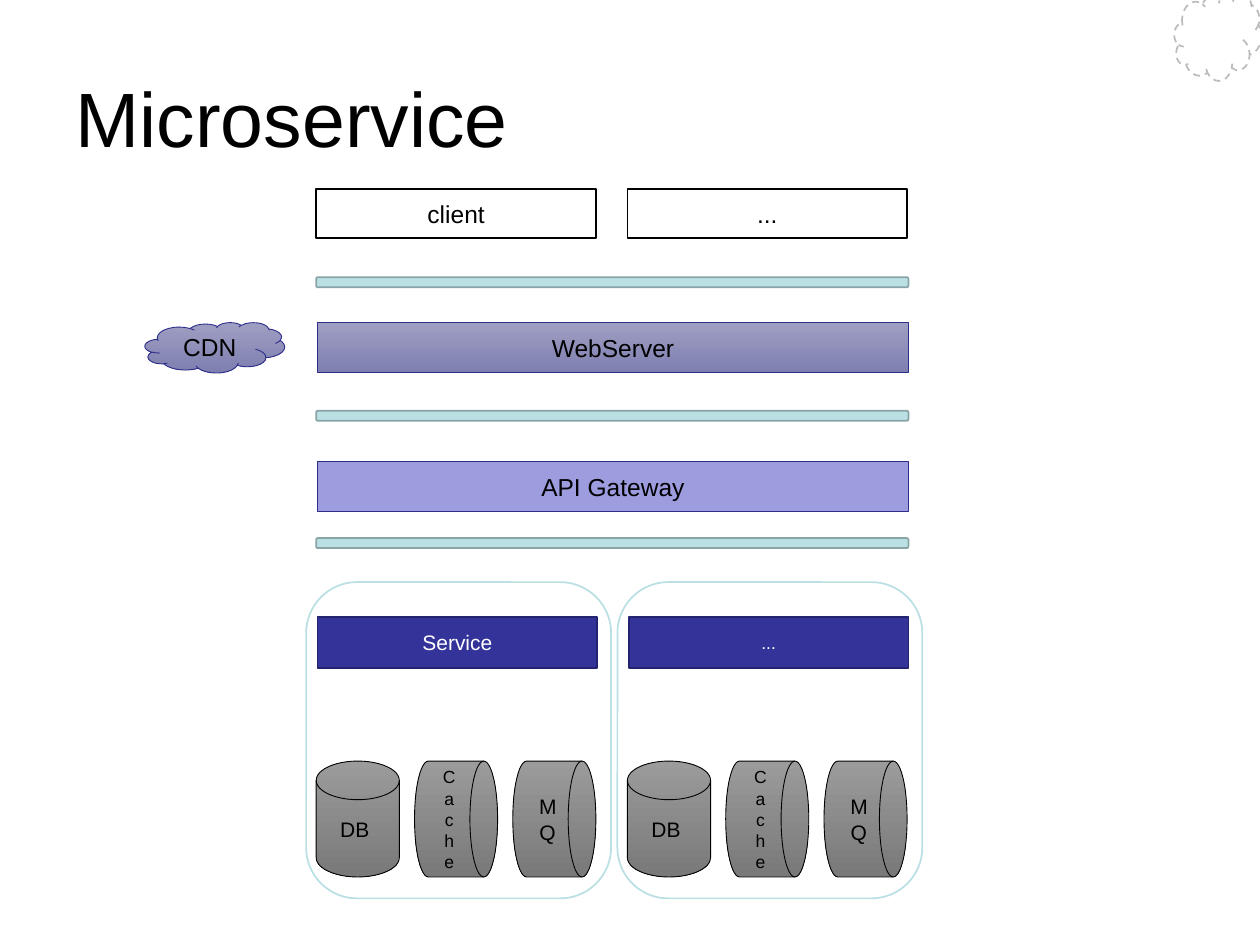
from dataclasses import dataclass

from pptx import Presentation
from pptx.dml.color import RGBColor
from pptx.enum.dml import MSO_LINE_DASH_STYLE as Dash
from pptx.enum.shapes import MSO_SHAPE as Shape
from pptx.enum.text import MSO_ANCHOR as Anchor, PP_ALIGN as Align
from pptx.util import Inches, Pt


@dataclass(frozen=True)
class Theme:
    font: str = "Arial"
    black: str = "000000"
    white: str = "FFFFFF"
    aqua: str = "BBE0E3"
    aqua_edge: str = "89A4A7"
    navy: str = "333399"
    navy_edge: str = "23236F"
    gateway: str = "9C9CDF"
    tier_edge: str = "2D2D8A"
    tier_fade: tuple = ("9F9FC3", "7E7EB0")
    store_fade: tuple = ("9B9B9B", "797979")
    cloud_edge: str = "BCBCBC"
    title: int = 44
    tier: int = 14
    service: int = 12
    small: int = 10


THEME = Theme()

# Layout grid, in inches
LEFT, FULL_W, HALF_W, BOX_H = 2.51, 4.7, 2.22, 0.4
COLUMN_STEP = 2.47
STORE_STEP = 0.78


def write(frame, text, *, size, color=THEME.black, align=Align.CENTER):
    frame.word_wrap = True
    frame.vertical_anchor = Anchor.MIDDLE
    paragraph = frame.paragraphs[0]
    paragraph.alignment = align
    run = paragraph.add_run()
    run.text = text
    run.font.name = THEME.font
    run.font.size = Pt(size)
    run.font.color.rgb = RGBColor.from_string(color)


def paint(fill, paint_color):
    """Fill with one colour, or fade from top to bottom between two."""
    if isinstance(paint_color, str):
        fill.solid()
        fill.fore_color.rgb = RGBColor.from_string(paint_color)
        return
    fill.gradient()
    fill.gradient_angle = 270
    for stop, color, position in zip(fill.gradient_stops, paint_color, (0, 1)):
        stop.color.rgb = RGBColor.from_string(color)
        stop.position = position


def add_block(slide, kind, box, *, fill, edge, weight=1, radius=None, **label):
    block = slide.shapes.add_shape(kind, *map(Inches, box))
    block.shadow.inherit = False
    paint(block.fill, fill)
    block.line.color.rgb = RGBColor.from_string(edge)
    block.line.width = Pt(weight)
    if radius is not None:
        block.adjustments[0] = radius
    if label:
        write(block.text_frame, **label)
    return block


def add_title(slide, text):
    title = slide.shapes.title
    title.left, title.top, title.width, title.height = map(Inches, (0.5, 0.3, 9, 1.25))
    write(title.text_frame, text, size=THEME.title, align=Align.LEFT)


def add_separator(slide, top):
    add_block(slide, Shape.ROUNDED_RECTANGLE, (LEFT, top, FULL_W, 0.08),
              fill=THEME.aqua, edge=THEME.aqua_edge, radius=0.167)


def add_tier(slide, kind, box, text, fill):
    add_block(slide, kind, box, fill=fill, edge=THEME.tier_edge, weight=0.5,
              text=text, size=THEME.tier)


def add_service(slide, left, name, name_size):
    # Group outline, service box, then its data stores
    add_block(slide, Shape.ROUNDED_RECTANGLE, (left - 0.08, 4.62, 2.42, 2.51),
              fill=THEME.white, edge=THEME.aqua, radius=0.167)
    add_block(slide, Shape.FLOWCHART_PROCESS, (left + 0.01, 4.9, HALF_W, BOX_H),
              fill=THEME.navy, edge=THEME.navy_edge,
              text=name, size=name_size, color=THEME.white)
    stores = (
        ("DB ", Shape.FLOWCHART_MAGNETIC_DISK, THEME.service),
        ("Cache", Shape.FLOWCHART_DIRECT_ACCESS_STORAGE, THEME.small),
        ("MQ", Shape.FLOWCHART_DIRECT_ACCESS_STORAGE, THEME.service),
    )
    for i, (store, kind, size) in enumerate(stores):
        add_block(slide, kind, (left + i * STORE_STEP, 6.04, 0.66, 0.92),
                  fill=THEME.store_fade, edge=THEME.black, weight=0.5,
                  text=store, size=size)


def main():
    prs = Presentation()
    prs.slide_width, prs.slide_height = Inches(10), Inches(7.5)
    slide = prs.slides.add_slide(prs.slide_layouts[5])

    # Corner decoration and title
    corner_cloud = add_block(slide, Shape.CLOUD, (9.32, -0.05, 0.69, 0.69),
                             fill=THEME.white, edge=THEME.cloud_edge)
    corner_cloud.line.dash_style = Dash.DASH
    add_title(slide, "Microservice")

    # Clients
    for i, client in enumerate(("client", "...")):
        add_block(slide, Shape.FLOWCHART_PROCESS,
                  (LEFT + i * COLUMN_STEP, 1.5, HALF_W, 0.39),
                  fill=THEME.white, edge=THEME.black,
                  text=client, size=THEME.tier)

    # Web and gateway tiers
    for top in (2.2, 3.26, 4.27):
        add_separator(slide, top)
    add_tier(slide, Shape.CLOUD, (1.15, 2.56, 1.11, BOX_H), "CDN", THEME.tier_fade)
    add_tier(slide, Shape.FLOWCHART_PROCESS, (LEFT + 0.01, 2.56, FULL_W - 0.01, BOX_H),
             "WebServer", THEME.tier_fade)
    add_tier(slide, Shape.FLOWCHART_PROCESS, (LEFT + 0.01, 3.66, FULL_W - 0.01, BOX_H),
             "API Gateway", THEME.gateway)

    # Services
    services = (("Service", THEME.service), ("...", THEME.small))
    for i, (name, size) in enumerate(services):
        add_service(slide, LEFT + i * COLUMN_STEP, name, size)

    prs.save("out.pptx")


if __name__ == "__main__":
    main()
